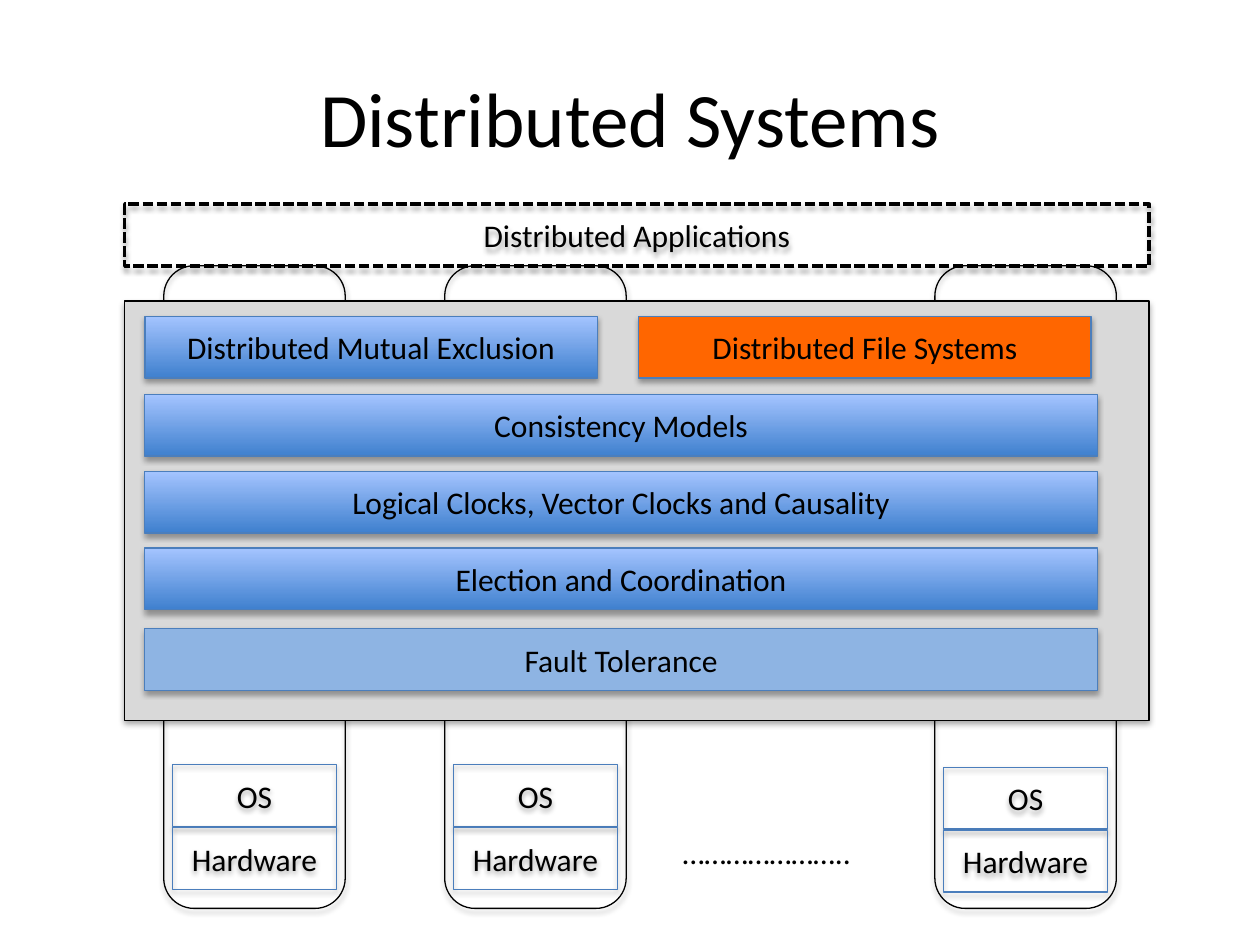
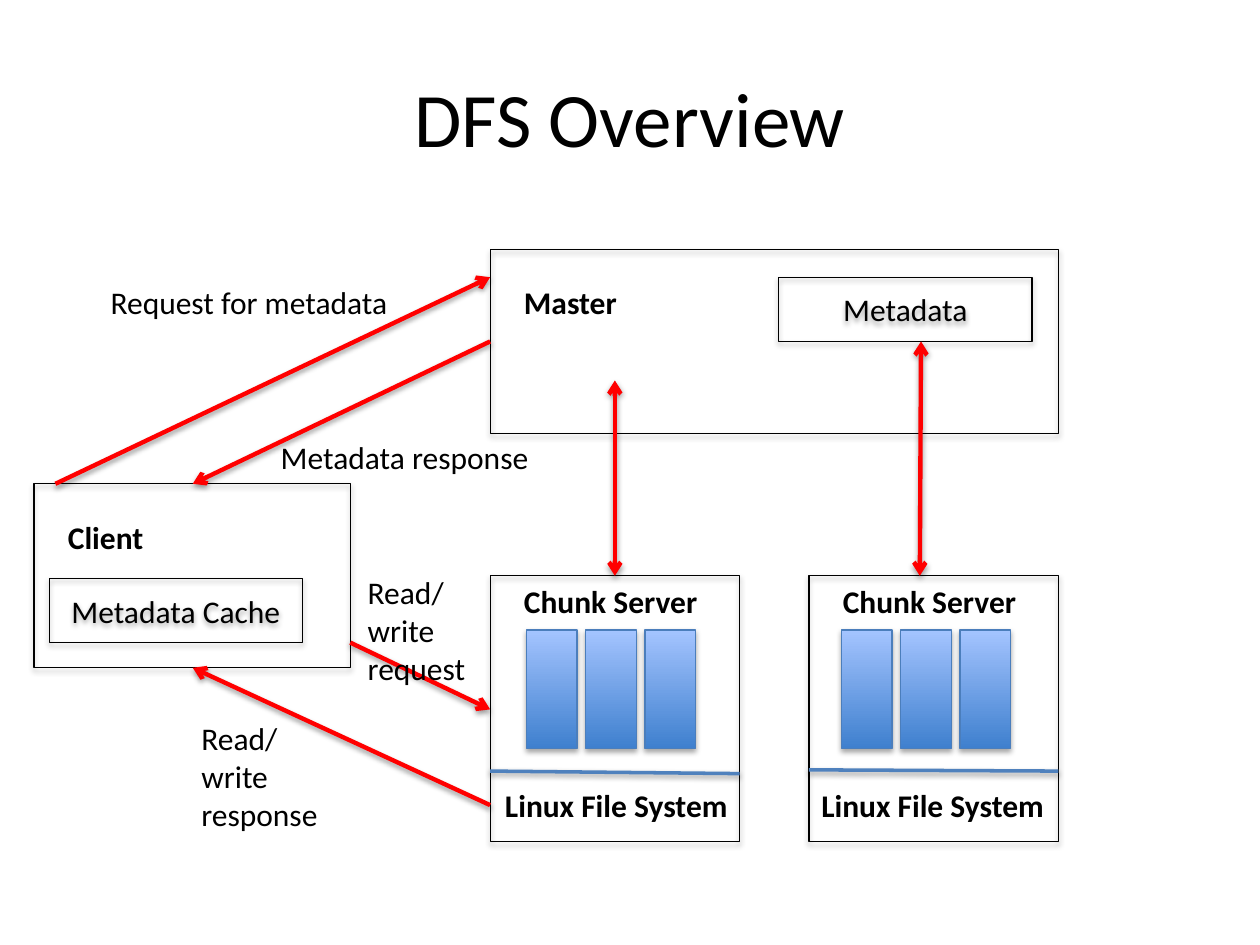
"""Build two slides: the distributed systems stack and an overview of DFS."""
from dataclasses import dataclass

from pptx import Presentation
from pptx.dml.color import RGBColor
from pptx.enum.dml import MSO_LINE
from pptx.enum.shapes import MSO_CONNECTOR, MSO_SHAPE
from pptx.enum.text import MSO_ANCHOR, MSO_AUTO_SIZE, PP_ALIGN
from pptx.oxml import parse_xml
from pptx.oxml.ns import nsdecls
from pptx.util import Pt

PX = 914400 // 100
RECT, ROUND = MSO_SHAPE.RECTANGLE, MSO_SHAPE.ROUNDED_RECTANGLE
LEFT, MID = PP_ALIGN.LEFT, PP_ALIGN.CENTER
TOP, CENTER = MSO_ANCHOR.TOP, MSO_ANCHOR.MIDDLE
FIT, DASH = MSO_AUTO_SIZE.SHAPE_TO_FIT_TEXT, MSO_LINE.SQUARE_DOT
STRAIGHT = MSO_CONNECTOR.STRAIGHT


@dataclass(frozen=True)
class Theme:
    font: str = "Calibri"
    title: int = 44
    body: int = 18
    ink: str = "000000"
    edge: str = "4B7EBC"
    rule: str = "4F81BD"
    flow: str = "FF0000"
    panel: str = "D9D9D9"
    focus: str = "FF6600"
    pale: str = "8EB4E3"
    blend: tuple = ("3F80CE", "A4C4FF")


LOOK = Theme()
SHADOW = (
    f'<a:effectLst {nsdecls("a")}><a:outerShdw blurRad="40000" dist="%d" '
    'dir="5400000" rotWithShape="0"><a:srgbClr val="000000">'
    '<a:alpha val="%d"/></a:srgbClr></a:outerShdw></a:effectLst>'
)


def write(shape, text, size=LOOK.body, bold=False, align=MID, anchor=CENTER, wrap=True):
    frame = shape.text_frame
    frame.text = text
    frame.word_wrap = wrap
    frame.vertical_anchor = anchor
    if not wrap:
        frame.auto_size = FIT
    for para in frame.paragraphs:
        para.alignment = align
        para.font.name = LOOK.font
        para.font.size = Pt(size)
        para.font.bold = bold
        para.font.color.rgb = RGBColor.from_string(LOOK.ink)


def block(slide, spot, text="", kind=RECT, fill=None, edge=LOOK.ink, width=0.75, dash=None):
    shape = slide.shapes.add_shape(kind, *(n * PX for n in spot))
    if fill is None:
        shape.fill.background()
    elif isinstance(fill, tuple):
        shape.fill.gradient()
        shape.fill.gradient_angle = 90
        for stop, tone in zip(shape.fill.gradient_stops, fill):
            stop.color.rgb = RGBColor.from_string(tone)
    else:
        shape.fill.solid()
        shape.fill.fore_color.rgb = RGBColor.from_string(fill)
    shape.line.color.rgb = RGBColor.from_string(edge)
    shape.line.width = Pt(width)
    if dash:
        shape.line.dash_style = dash
    shape._element.spPr.append(parse_xml(SHADOW % (23000, 35000)))
    if text:
        write(shape, text)


deck = Presentation()
deck.slide_width, deck.slide_height = 1000 * PX, 750 * PX
pages = []
for name in ("Distributed Systems", "DFS Overview"):
    page = deck.slides.add_slide(deck.slide_layouts[5])
    head = page.shapes.title
    head.left, head.top, head.width, head.height = (n * PX for n in (50, 30, 900, 125))
    write(head, name, size=LOOK.title)
    pages.append(page)
stack, flow = pages

nodes = ((130, 607), (353, 607), (742, 609))
for x, y in nodes:
    block(stack, (x, 211, 144, 510), kind=ROUND)
block(stack, (99, 162, 813, 49), "Distributed Applications", width=2, dash=DASH)
block(stack, (99, 239, 813, 333), fill=LOOK.panel)

layers = (
    (115, 251, 359, "Distributed Mutual Exclusion", LOOK.blend),
    (507, 251, 359, "Distributed File Systems", LOOK.focus),
    (115, 313, 756, "Consistency Models", LOOK.blend),
    (115, 374, 756, "Logical Clocks, Vector Clocks and Causality", LOOK.blend),
    (115, 435, 756, "Election and Coordination", LOOK.blend),
    (115, 499, 756, "Fault Tolerance", LOOK.pale),
)
for x, y, wide, text, fill in layers:
    block(stack, (x, y, wide, 49), text, fill=fill, edge=LOOK.edge)
for x, y in nodes:
    for row, text in enumerate(("OS", "Hardware")):
        block(stack, (x + 7, y + 50 * row, 130, 49), text, edge=LOOK.edge)

block(flow, (389, 198, 451, 146))
block(flow, (618, 220, 201, 51), "Metadata")
block(flow, (27, 384, 251, 146))
block(flow, (39, 459, 201, 51), "Metadata Cache")
for left, first in ((389, 418), (642, 668)):
    block(flow, (left, 457, 198, 211))
    for i in range(3):
        block(flow, (first + 47 * i, 500, 40, 94), fill=LOOK.blend, edge=LOOK.edge)

rule, one, both = (LOOK.rule, 2, ()), (LOOK.flow, 2.5, ("tail",)), (LOOK.flow, 2.5, ("head", "tail"))
lines = (
    (389, 612, 587, 614, rule),
    (642, 611, 840, 612, rule),
    (488, 302, 488, 457, both),
    (731, 271, 730, 457, both),
    (44, 384, 389, 220, one),
    (389, 271, 153, 384, one),
    (278, 510, 389, 563, one),
    (389, 639, 153, 530, one),
)
for *ends, (tone, width, tips) in lines:
    wire = flow.shapes.add_connector(STRAIGHT, *(n * PX for n in ends))
    wire.line.color.rgb = RGBColor.from_string(tone)
    wire.line.width = Pt(width)
    for tip in tips:
        wire.line._get_or_add_ln().append(
            parse_xml(f'<a:{tip}End {nsdecls("a")} type="arrow"/>'))
    wire._element.spPr.append(parse_xml(SHADOW % (20000, 38000)))

labels = (
    (stack, 532, 656, 155, 40, "…………………..", False),
    (flow, 406, 220, 95, 40, "Master", True),
    (flow, 406, 457, 159, 40, "Chunk Server", True),
    (flow, 659, 457, 159, 40, "Chunk Server", True),
    (flow, 391, 619, 200, 40, "Linux File System", True),
    (flow, 642, 619, 200, 40, "Linux File System", True),
    (flow, 44, 406, 81, 40, "Client", True),
    (flow, 78, 220, 244, 40, "Request for metadata", False),
    (flow, 213, 343, 220, 40, "Metadata response", False),
    (flow, 282, 450, 99, 101, "Read/\nwrite\nrequest", False),
    (flow, 150, 566, 114, 101, "Read/\nwrite\nresponse", False),
)
for page, *spot, text, bold in labels:
    label = page.shapes.add_textbox(*(n * PX for n in spot))
    write(label, text, bold=bold, align=LEFT, anchor=TOP, wrap=False)

deck.save("out.pptx")
